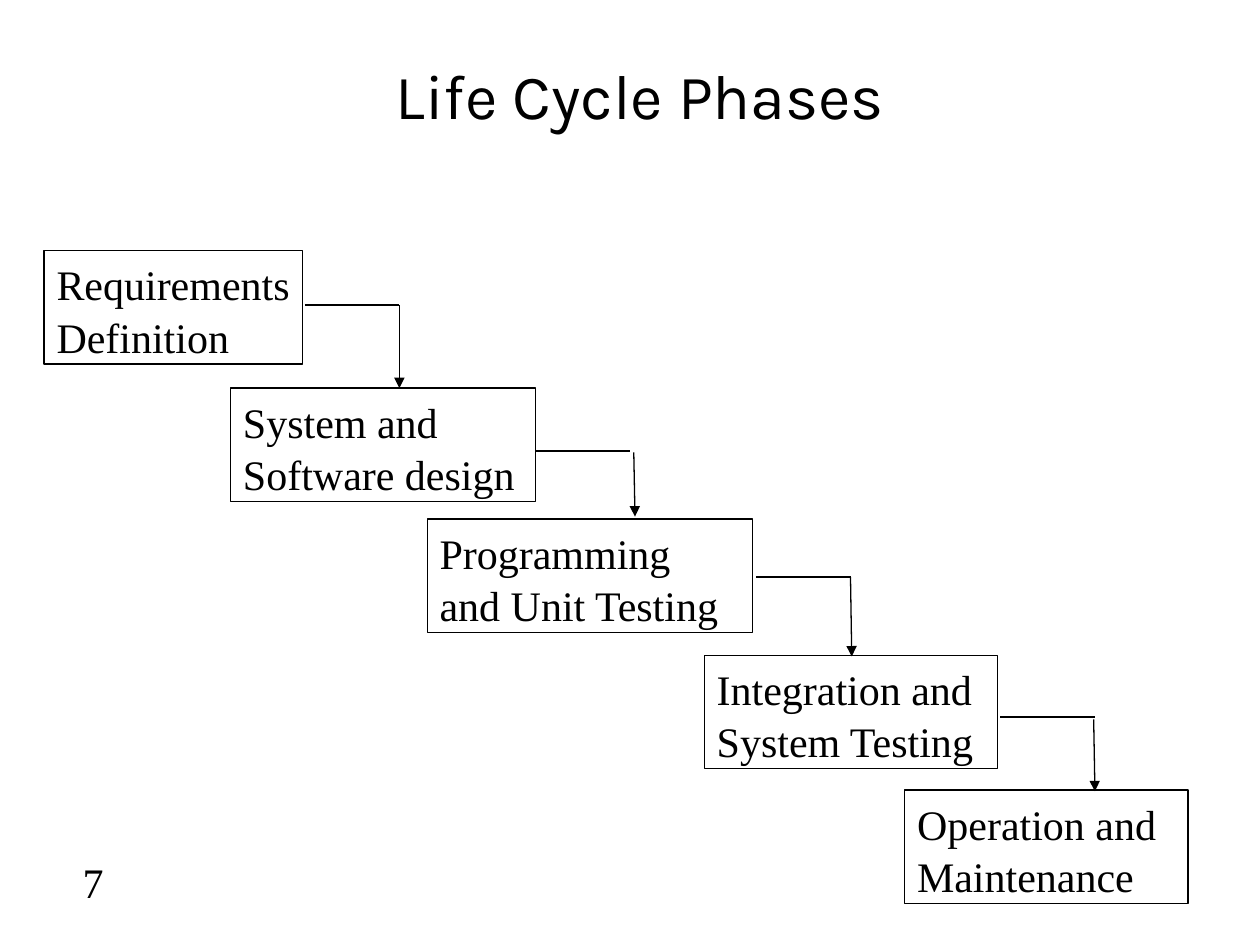
from pptx import Presentation
from pptx import util as u
from pptx.dml.color import RGBColor
from pptx.enum import shapes, text
from pptx.oxml.ns import qn
from lxml import etree

# Content: label lines, then left, top, width of each phase box
TITLE = "Life Cycle Phases"
PAGE = "7"
PHASES = [
    (("Requirements", "Definition"), 0.35, 1.99, 2.05),
    (("System and", "Software design"), 1.83, 3.08, 2.42),
    (("Programming", "and Unit Testing"), 3.39, 4.12, 2.58),
    (("Integration and", "System Testing"), 5.59, 5.2, 2.33),
    (("Operation and", "Maintenance"), 7.18, 6.27, 2.25),
]
# Steps: start of the run, then top and tip of the drop
STEPS = [
    ((2.42, 2.42), (3.17, 2.42), (3.17, 3.08)),
    ((4.25, 3.58), (5.03, 3.59), (5.04, 4.1)),
    ((6, 4.58), (6.75, 4.58), (6.76, 5.21)),
    ((7.94, 5.69), (8.68, 5.71), (8.69, 6.28)),
]
BOX_H, RUN = 0.9, 0.75
THEME = {
    "ink": RGBColor(0, 0, 0), "line": u.Pt(0.75),
    "head": ("Karla", u.Pt(36)), "body": ("Times New Roman", u.Pt(24)),
    "pitch": 1.04,
}


def write(frame, lines, style, align):
    for i, line in enumerate(lines):
        para = frame.paragraphs[0] if i == 0 else frame.add_paragraph()
        para.alignment = align
        run = para.add_run()
        run.text = line
        run.font.name, run.font.size = THEME[style]
        run.font.color.rgb = THEME["ink"]


def add_line(slide, start, end, arrow=False):
    line = slide.shapes.add_connector(
        shapes.MSO_CONNECTOR.STRAIGHT, *map(u.Inches, start + end))
    line.line.color.rgb = THEME["ink"]
    line.line.width = THEME["line"]
    if arrow:
        etree.SubElement(line.line._get_or_add_ln(), qn("a:tailEnd"), type="triangle")
    etree.SubElement(line._element.spPr, qn("a:effectLst"))


def add_phase(slide, lines, left, top, width):
    box = slide.shapes.add_shape(
        shapes.MSO_SHAPE.RECTANGLE, *map(u.Inches, (left, top, width, BOX_H)))
    box.shadow.inherit = False
    box.fill.background()
    box.line.color.rgb = THEME["ink"]
    box.line.width = THEME["line"]
    frame = box.text_frame
    frame.word_wrap = True
    frame.auto_size = text.MSO_AUTO_SIZE.SHAPE_TO_FIT_TEXT
    frame.vertical_anchor = text.MSO_ANCHOR.TOP
    write(frame, lines, "body", text.PP_ALIGN.LEFT)
    for para in frame.paragraphs:
        para.line_spacing = THEME["pitch"]
    return box


def main():
    deck = Presentation()
    deck.slide_width, deck.slide_height = u.Inches(10), u.Inches(7.5)
    slide = deck.slides.add_slide(deck.slide_layouts[5])

    # Title
    title = slide.shapes.title
    title.left, title.top, title.width, title.height = map(
        u.Inches, (0.83, 0.25, 8.5, 1))
    title.text_frame.vertical_anchor = text.MSO_ANCHOR.MIDDLE
    write(title.text_frame, [TITLE], "head", text.PP_ALIGN.CENTER)

    # Phase boxes; the first label fits its box tightly
    boxes = [add_phase(slide, *phase) for phase in PHASES]
    boxes[0].text_frame.word_wrap = False

    # Stepped arrows
    for start, bend, tip in STEPS:
        add_line(slide, start, (start[0] + RUN, start[1]))
        add_line(slide, bend, tip, arrow=True)

    # Page number
    page = slide.shapes.add_textbox(*map(u.Inches, (0.17, 6.75, 0.75, 0.5)))
    page.text_frame.word_wrap = True
    write(page.text_frame, [PAGE], "body", text.PP_ALIGN.RIGHT)

    deck.save("out.pptx")


if __name__ == "__main__":
    main()
